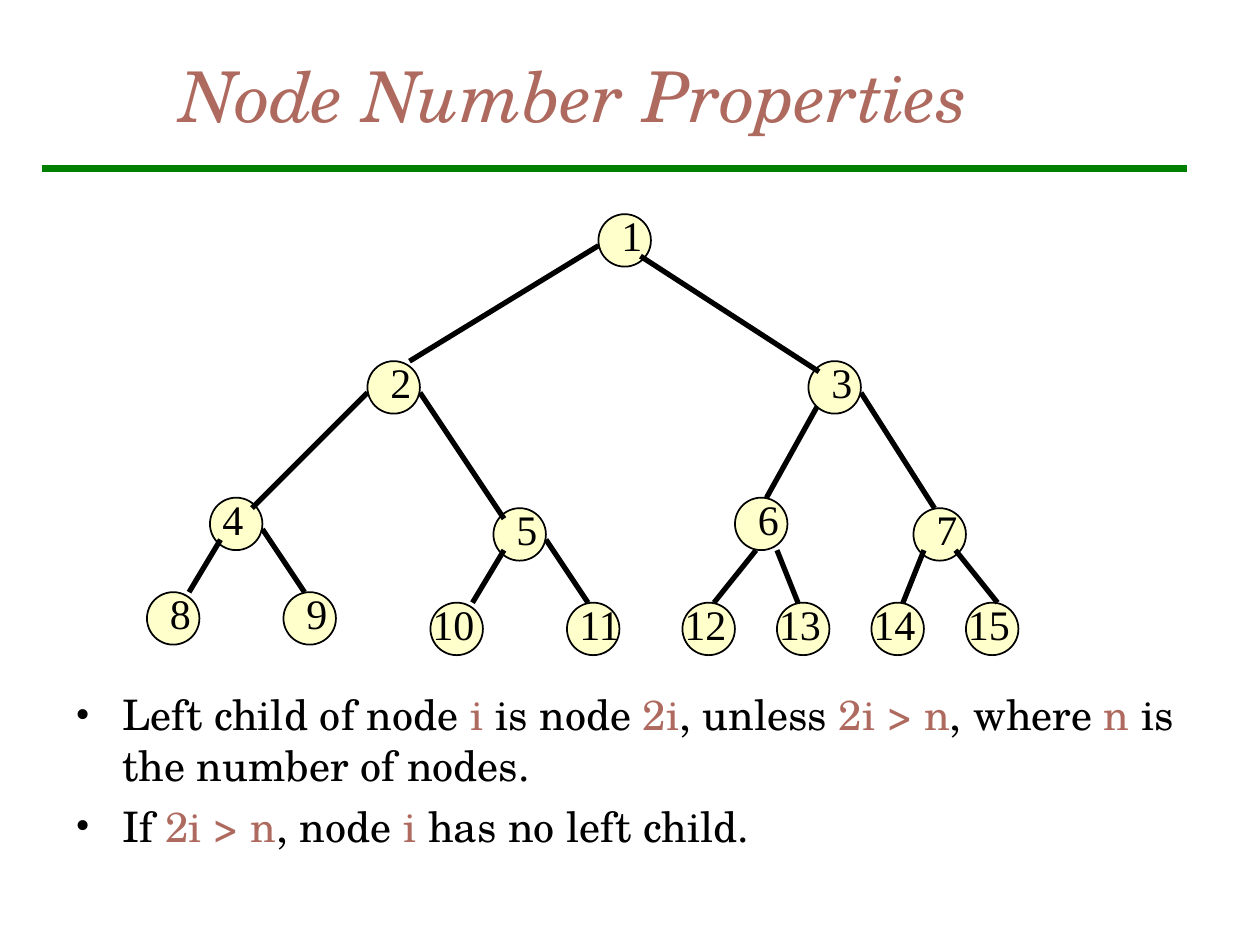
"""Build a slide on the numbering of nodes in a complete binary tree."""
from lxml.etree import SubElement
from pptx import Presentation
from pptx.dml.color import RGBColor
from pptx.enum.shapes import MSO_CONNECTOR, MSO_SHAPE
from pptx.enum.text import MSO_ANCHOR, MSO_AUTO_SIZE, PP_ALIGN
from pptx.oxml.ns import qn
from pptx.util import Cm, Pt

THEME = {
    "ink": RGBColor(0x00, 0x00, 0x00),
    "accent": RGBColor(0xAF, 0x6A, 0x5F),
    "rule": RGBColor(0x00, 0x80, 0x00),
    "node": RGBColor(0xFF, 0xFF, 0xCC),
    "title": {"name": "TeX Gyre Schola", "size": Pt(40), "italic": True, "bold": False},
    "body": {"name": "TeX Gyre Schola", "size": Pt(24)},
    "number": {"name": "Times New Roman", "size": Pt(24)},
}
GRID = 2.54 / 12
TREE_TOP = 0.4 * GRID
DIAMETER = 5

NODES = {
    1: (57, 20), 2: (35, 34), 3: (77, 34),
    4: (20, 47), 5: (47, 48), 6: (70, 47), 7: (87, 48),
    8: (14, 56), 9: (27, 56), 10: (41, 57), 11: (54, 57),
    12: (65, 57), 13: (74, 57), 14: (83, 57), 15: (92, 57),
}
BRANCHES = {
    2: (57, 23, 39, 34), 3: (61, 24, 78, 35),
    4: (35, 37, 24, 48), 5: (40, 37, 48, 49),
    6: (78, 38, 73, 47), 7: (82, 37, 89, 48),
    8: (21, 51, 18, 56), 9: (25, 50, 29, 56),
    10: (48, 52, 45, 57), 11: (52, 51, 56, 57),
    12: (72, 52, 68, 57), 13: (74, 52, 76, 57),
    14: (88, 52, 86, 57), 15: (91, 52, 95, 57),
}
LAYERS = (range(4, 8), range(1, 4), range(8, 16))
NUMBER_SHIFTS = {4: 0, 11: 0}
PROPERTIES = (
    (("Left child of node ", "ink"), ("i ", "accent"), ("is node ", "ink"),
     ("2i", "accent"), (", unless ", "ink"), ("2i > n", "accent"),
     (", where ", "ink"), ("n", "accent"), (" is the number of nodes.", "ink")),
    (("If ", "ink"), ("2i > n", "accent"), (", node", "ink"),
     (" i", "accent"), (" has no left child.", "ink")),
)


def write(paragraph, words, style, color):
    run = paragraph.add_run()
    run.text = words
    for attribute, value in THEME[style].items():
        setattr(run.font, attribute, value)
    run.font.color.rgb = THEME[color]


def draw_line(shapes, ends, color, width):
    line = shapes.add_connector(MSO_CONNECTOR.STRAIGHT, *(Cm(end) for end in ends))
    line.line.color.rgb = THEME[color]
    line.line.width = Pt(width)
    SubElement(line._element.spPr, qn("a:effectLst"))


deck = Presentation()
deck.slide_width, deck.slide_height = Cm(25.4), Cm(19.05)
slide = deck.slides.add_slide(deck.slide_layouts[5])
shapes = slide.shapes

draw_line(shapes, (0.85, 3.39, 23.92, 3.39), "rule", 4)

heading = shapes.title
for attribute, value in {"left": Cm(3.39), "top": Cm(0.64),
                         "width": Cm(21.59), "height": Cm(2.54)}.items():
    setattr(heading, attribute, value)
for attribute, value in {"vertical_anchor": MSO_ANCHOR.MIDDLE, "word_wrap": True,
                         "auto_size": MSO_AUTO_SIZE.NONE}.items():
    setattr(heading.text_frame, attribute, value)
heading_line = heading.text_frame.paragraphs[0]
heading_line.alignment = PP_ALIGN.LEFT
write(heading_line, "Node Number Properties", "title", "accent")

explanation = shapes.add_textbox(Cm(1.27), Cm(13.76), Cm(23.07), Cm(4.66)).text_frame
explanation.word_wrap = True
for index, pieces in enumerate(PROPERTIES):
    statement = explanation.add_paragraph() if index else explanation.paragraphs[0]
    statement.space_before = Pt(6)
    for words, color in pieces:
        write(statement, words, "body", color)
    bullet = statement._p.get_or_add_pPr()
    bullet.set("marL", str(Cm(0.95)))
    bullet.set("indent", str(-Cm(0.95)))
    SubElement(SubElement(bullet, qn("a:buClr")), qn("a:srgbClr")).set("val", str(THEME["ink"]))
    SubElement(bullet, qn("a:buFont")).set("typeface", THEME["number"]["name"])
    SubElement(bullet, qn("a:buChar")).set("char", "•")

for layer in LAYERS:
    for number in layer:
        column, row = NODES[number]
        node = shapes.add_shape(MSO_SHAPE.OVAL, Cm(column * GRID), Cm(row * GRID + TREE_TOP),
                                Cm(DIAMETER * GRID), Cm(DIAMETER * GRID))
        node.shadow.inherit = False
        node.fill.solid()
        node.fill.fore_color.rgb = THEME["node"]
        node.line.color.rgb = THEME["ink"]
        node.line.width = Pt(1)
    for number in layer:
        if number in BRANCHES:
            x1, y1, x2, y2 = (step * GRID for step in BRANCHES[number])
            draw_line(shapes, (x1, y1 + TREE_TOP, x2, y2 + TREE_TOP), "ink", 3)

for number, (column, row) in NODES.items():
    digits = len(str(number))
    shift = NUMBER_SHIFTS.get(number, 1 if digits == 1 else -1)
    label = shapes.add_textbox(Cm((column + shift) * GRID), Cm((row - 1) * GRID + TREE_TOP),
                               Cm(4 * digits * GRID), Cm(6 * GRID)).text_frame
    label.word_wrap = True
    label.auto_size = MSO_AUTO_SIZE.SHAPE_TO_FIT_TEXT
    write(label.paragraphs[0], str(number), "number", "ink")

deck.save("out.pptx")
